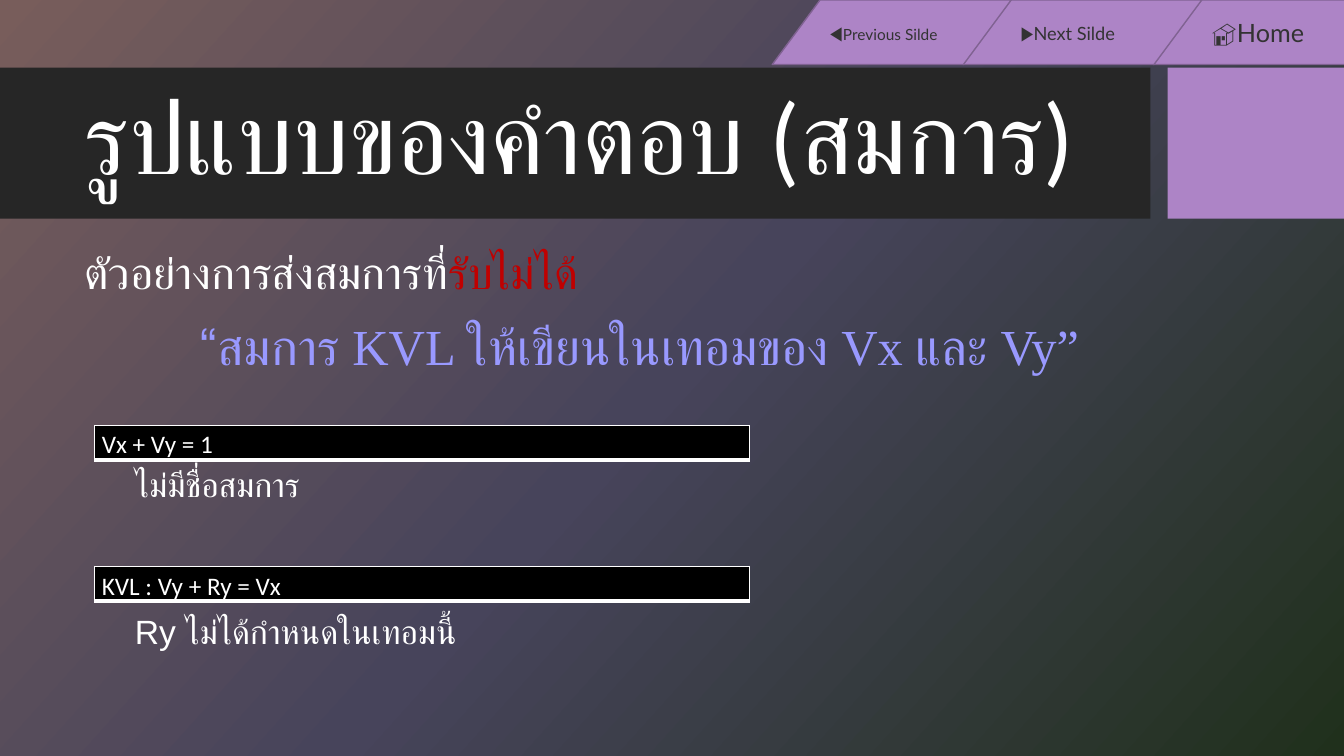
from dataclasses import dataclass

from lxml.etree import SubElement
from pptx import Presentation
from pptx.dml.color import RGBColor
from pptx.enum.shapes import MSO_SHAPE
from pptx.enum.text import MSO_ANCHOR, PP_ALIGN
from pptx.oxml.ns import qn
from pptx.util import Inches, Pt


@dataclass(frozen=True)
class Theme:
    backdrop: tuple = ((0, "785D5B"), (50, "47445B"), (100, "20301C"))
    backdrop_angle: int = 42
    band: str = "262626"
    accent: str = "AD84C6"
    accent_edge: str = "806292"
    button_text: str = "333333"
    light: str = "FFFFFF"
    dark: str = "000000"
    warning: str = "C00000"
    quote: tuple = ("9999FF", "009999")
    title_size: int = 72
    quote_size: int = 36
    lead_size: int = 32
    note_size: int = 24
    equation_size: int = 18
    icon_size: int = 14


THEME = Theme()
WIDTH, HEIGHT = 13.33, 7.5
MARGIN = 0.74


def rgb(value):
    return RGBColor.from_string(value)


def inches(box):
    return [Inches(length) for length in box]


def style(font, size, color=None, name=None):
    font.size = Pt(size)
    if color:
        font.color.rgb = rgb(color)
    if name:
        font.name = name


def solid(shape, fill, edge=None):
    shape.shadow.inherit = False
    shape.fill.solid()
    shape.fill.fore_color.rgb = rgb(fill)
    if edge:
        shape.line.color.rgb = rgb(edge)
        shape.line.width = Pt(1)
    else:
        shape.line.fill.background()


def gradient_stops(parent, stops):
    """Replace the stops of a gradient element."""
    stop_list = parent.find(".//" + qn("a:gsLst"))
    for stop in list(stop_list):
        stop_list.remove(stop)
    for position, color in stops:
        stop = SubElement(stop_list, qn("a:gs"), pos=str(position * 1000))
        SubElement(stop, qn("a:srgbClr"), val=color)


def paint_background(slide):
    fill = slide.background.fill
    fill.gradient()
    fill.gradient_angle = 360 - THEME.backdrop_angle
    gradient_stops(slide.background._cSld.bg, THEME.backdrop)


def add_text(slide, box, text, size, font_name, spacing=None):
    frame = slide.shapes.add_textbox(*inches(box)).text_frame
    frame.word_wrap = True
    paragraph = frame.paragraphs[0]
    paragraph.line_spacing = spacing
    paragraph.add_run().text = text
    style(paragraph.font, size, THEME.light, font_name)
    return frame


def add_title_band(slide, box):
    left, top, width, height = box
    square_width, gap = 1.75, 0.17
    band_width = width - square_width - gap
    for x, part_width, color in (
        (left, band_width, THEME.band),
        (left + width - square_width, square_width, THEME.accent),
    ):
        part = slide.shapes.add_shape(
            MSO_SHAPE.RECTANGLE, *inches((x, top, part_width, height)))
        solid(part, color)
    title = add_text(slide, (left + MARGIN, top + 0.15, 10.51, 1.18),
                     "รูปแบบของคำตอบ (สมการ)", THEME.title_size, "Calibri", 0.9)
    title.vertical_anchor = MSO_ANCHOR.MIDDLE


def add_question(slide, box):
    left, top, width, height = box
    lead = add_text(slide, (left, top, width, 0.69), "ตัวอย่างการส่งสมการที่",
                    THEME.lead_size, "Fira Code", 1.15).paragraphs[0]
    lead.space_after = Pt(10)
    refused = lead.add_run()
    refused.text = "รับไม่ได้"
    refused.font.color.rgb = rgb(THEME.warning)

    quote = add_text(slide, (left + 0.99, top + 0.78, 9.2, height - 0.78),
                     "“สมการ KVL ให้เขียนในเทอมของ Vx และ Vy”",
                     THEME.quote_size, "Times New Roman").paragraphs[0]
    quote.alignment = PP_ALIGN.CENTER
    quote_fill = quote.runs[0].font.fill
    quote_fill.gradient()
    quote_fill.gradient_angle = 270
    for stop, color in zip(quote_fill.gradient_stops, THEME.quote):
        stop.color.rgb = rgb(color)


def add_borders(cell):
    properties = cell._tc.get_or_add_tcPr()
    for index, (side, points) in enumerate(
            (("lnL", 1), ("lnR", 1), ("lnT", 1), ("lnB", 3))):
        line = SubElement(properties, qn("a:" + side), w=str(Pt(points)))
        fill = SubElement(line, qn("a:solidFill"))
        SubElement(fill, qn("a:srgbClr"), val=THEME.light)
        properties.insert(index, line)


def add_example(slide, box, equation, reason, reason_offset):
    """Place a rejected equation with the reason below it."""
    left, top, width, height = box
    table = slide.shapes.add_table(1, 1, *inches((left, top, width, height))).table
    cell = table.cell(0, 0)
    cell.fill.solid()
    cell.fill.fore_color.rgb = rgb(THEME.dark)
    add_borders(cell)
    cell.margin_left = cell.margin_right = Inches(0.07)
    cell.margin_top = cell.margin_bottom = 0
    cell.text = equation
    paragraph = cell.text_frame.paragraphs[0]
    paragraph.line_spacing = 1.15
    style(paragraph.font, THEME.equation_size, THEME.light, "Calibri")
    paragraph.font.bold = False
    add_text(slide, (left + 0.3, top + reason_offset, 5.9, 0.5),
             reason, THEME.note_size, "Arial")


def add_navigation(slide, box):
    left, top, width, height = box
    step = 1.89
    buttons = (
        (("◀\ufe0f", THEME.icon_size), ("Previous Silde", 11)),
        (("▶\ufe0f", THEME.icon_size), ("Next Silde", 13)),
        (("🏠Home", 18),),
    )
    for column, label in reversed(list(enumerate(buttons))):
        button = slide.shapes.add_shape(
            MSO_SHAPE.FLOWCHART_DATA,
            *inches((left + column * step, top, width, height)))
        solid(button, THEME.accent, THEME.accent_edge)
        button.text_frame.vertical_anchor = MSO_ANCHOR.MIDDLE
        paragraph = button.text_frame.paragraphs[0]
        paragraph.alignment = PP_ALIGN.LEFT
        paragraph.font.name = "Lato"
        paragraph.font.color.rgb = rgb(THEME.button_text)
        for text, size in label:
            run = paragraph.add_run()
            run.text = text
            style(run.font, size)


def main():
    presentation = Presentation()
    presentation.slide_width = Inches(WIDTH)
    presentation.slide_height = Inches(HEIGHT)
    slide = presentation.slides.add_slide(presentation.slide_layouts[6])
    paint_background(slide)
    add_title_band(slide, (0, 0.67, WIDTH, 1.5))
    add_question(slide, (MARGIN, 2.3, 11.59, 1.49))
    examples = (
        ("Vx + Vy = 1", "ไม่มีชื่อสมการ", 0.33),
        ("KVL : Vy + Ry = Vx", "Ry ไม่ได้กำหนดในเทอมนี้", 0.39),
    )
    for row, (equation, reason, offset) in enumerate(examples):
        add_example(slide, (0.94, 4.22 + row * 1.4, 6.49, 0.33),
                    equation, reason, offset)
    add_navigation(slide, (7.66, 0, 2.37, 0.64))
    presentation.save("out.pptx")


if __name__ == "__main__":
    main()
